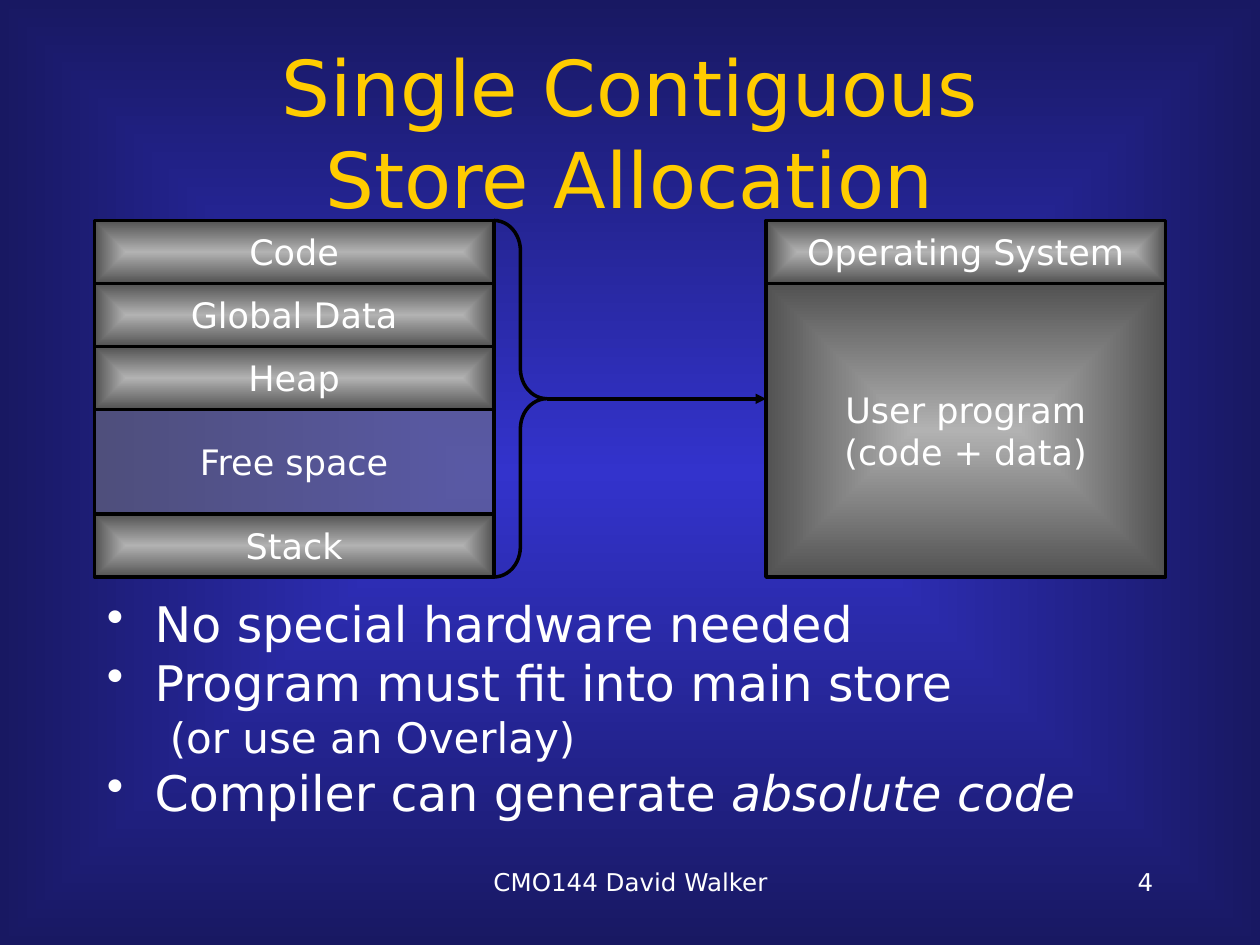
import pptx
import pptx.util
import pptx.dml.color
import pptx.enum.shapes
import pptx.enum.text
import pptx.oxml
import pptx.oxml.ns
import lxml.etree

Inches = pptx.util.Inches
Pt = pptx.util.Pt
RGBColor = pptx.dml.color.RGBColor
SHAPE = pptx.enum.shapes.MSO_SHAPE
ALIGN = pptx.enum.text.PP_ALIGN
ANCHOR = pptx.enum.text.MSO_ANCHOR
qn = pptx.oxml.ns.qn

FONT = "DejaVu Sans"
WHITE = RGBColor(0xFF, 0xFF, 0xFF)
BLACK = RGBColor(0, 0, 0)
GOLD = RGBColor(0xFF, 0xCC, 0x00)
BLUE = RGBColor(0x33, 0x33, 0xCC)
NAVY = RGBColor(0x18, 0x18, 0x62)
SILVER = RGBColor(0xB2, 0xB2, 0xB2)
DARK = RGBColor(0x52, 0x52, 0x52)
GRAY = RGBColor(0x80, 0x80, 0x80)

ROW = 0.5
MEMORY = [("Code", ROW, False), ("Global Data", ROW, False),
          ("Heap", ROW, False), ("Free space", 0.83, True),
          ("Stack", ROW, False)]
STORE = [("Operating System", ROW, False),
         ("User program\n(code + data)", 2.33, False)]
POINTS = [(["No special hardware needed"], 0),
          (["Program must fit into main store"], 0),
          (["(or use an Overlay)"], 1),
          (["Compiler can generate ", "absolute code"], 0)]


def add(parent, tag, **attrs):
    node = lxml.etree.SubElement(parent, qn(tag))
    for key, value in attrs.items():
        node.set(key, value)
    return node


def glow(fill, root, inner, outer):
    fill.gradient()
    for stop, color in zip(fill.gradient_stops, (inner, outer)):
        stop.color.rgb = color
    grad = next(root.iter(qn("a:gradFill")))
    for lin in grad.findall(qn("a:lin")):
        grad.remove(lin)
    route = add(grad, "a:path", path="rect")
    add(route, "a:fillToRect", l="50000", t="50000", r="50000", b="50000")


def style(para, size, color=WHITE, align=ALIGN.LEFT):
    para.alignment = align
    para.font.name = FONT
    para.font.size = Pt(size)
    para.font.color.rgb = color


def ink(line):
    line.color.rgb = BLACK
    line.width = Pt(2)


def head(slide, left, top, width, height):
    title = slide.shapes.title
    title.left, title.top = Inches(left), Inches(top)
    title.width, title.height = Inches(width), Inches(height)
    frame = title.text_frame
    frame.text = "Single Contiguous\vStore Allocation"
    frame.auto_size = pptx.enum.text.MSO_AUTO_SIZE.NONE
    frame.vertical_anchor = ANCHOR.MIDDLE
    style(frame.paragraphs[0], 44, GOLD, ALIGN.CENTER)


def stack(slide, left, top, width, cells):
    for text, height, free in cells:
        cell = slide.shapes.add_shape(
            SHAPE.RECTANGLE, Inches(left), Inches(top), Inches(width), Inches(height))
        cell.shadow.inherit = False
        ink(cell.line)
        if free:
            cell.fill.solid()
            cell.fill.fore_color.rgb = GRAY
            tint = next(cell._element.spPr.iter(qn("a:srgbClr")))
            add(tint, "a:alpha", val="50000")
        else:
            glow(cell.fill, cell._element.spPr, SILVER, DARK)
        frame = cell.text_frame
        frame.word_wrap = False
        frame.vertical_anchor = ANCHOR.MIDDLE
        frame.text = text
        for para in frame.paragraphs:
            style(para, 20, WHITE, ALIGN.CENTER)
        top += height


def link(slide, left, top, width, height):
    depth = 0.42
    brace = slide.shapes.add_shape(
        SHAPE.RIGHT_BRACE, Inches(left), Inches(top), Inches(depth), Inches(height))
    brace.adjustments[0] = 0.57
    brace.shadow.inherit = False
    brace.fill.background()
    ink(brace.line)
    mid = Inches(top + height / 2)
    arrow = slide.shapes.add_connector(
        pptx.enum.shapes.MSO_CONNECTOR.STRAIGHT,
        Inches(left + depth), mid, Inches(left + width), mid)
    ink(arrow.line)
    add(arrow.line._get_or_add_ln(), "a:tailEnd", type="triangle")
    add(arrow._element.spPr, "a:effectLst")


def box(slide, left, top, width, height):
    frame = slide.shapes.add_textbox(
        Inches(left), Inches(top), Inches(width), Inches(height)).text_frame
    frame.word_wrap = True
    return frame


def points(slide, left, top, width, height):
    frame = box(slide, left, top, width, height)
    for n, (parts, level) in enumerate(POINTS):
        para = frame.add_paragraph() if n else frame.paragraphs[0]
        para.level = level
        props = para._p.get_or_add_pPr()
        margin, hang = (0.81, 0.31) if level else (0.38, 0.38)
        props.set("marL", str(Inches(margin)))
        props.set("indent", str(-Inches(hang)))
        para.line_spacing = 0.8
        para.space_before = Pt((6 if level else 7) if n else 0)
        if level:
            add(props, "a:buNone")
        else:
            add(props, "a:buChar", char="•")
        style(para, 24 if level else 28)
        for k, part in enumerate(parts):
            run = para.add_run()
            run.text = part
            if k:
                run.font.italic = True


def foot(slide, top, height):
    for text, left, width, align in (
            ("CMO144 David Walker", 3.42, 3.17, ALIGN.CENTER),
            ("4", 7.17, 2.08, ALIGN.RIGHT)):
        frame = box(slide, left, top, width, height)
        frame.text = text
        style(frame.paragraphs[0], 14, WHITE, align)


def main():
    deck = pptx.Presentation()
    deck.slide_width, deck.slide_height = Inches(10), Inches(7.5)
    slide = deck.slides.add_slide(deck.slide_layouts[5])
    glow(slide.background.fill, slide._element, BLUE, NAVY)
    head(slide, 0.75, 0.42, 8.5, 1.25)
    points(slide, 0.75, 4.75, 8.5, 1.92)
    stack(slide, 6.08, 1.75, 3.17, STORE)
    stack(slide, 0.75, 1.75, 3.17, MEMORY)
    link(slide, 3.92, 1.75, 2.16, 2.83)
    foot(slide, 6.83, 0.5)
    deck.save("out.pptx")


if __name__ == "__main__":
    main()
